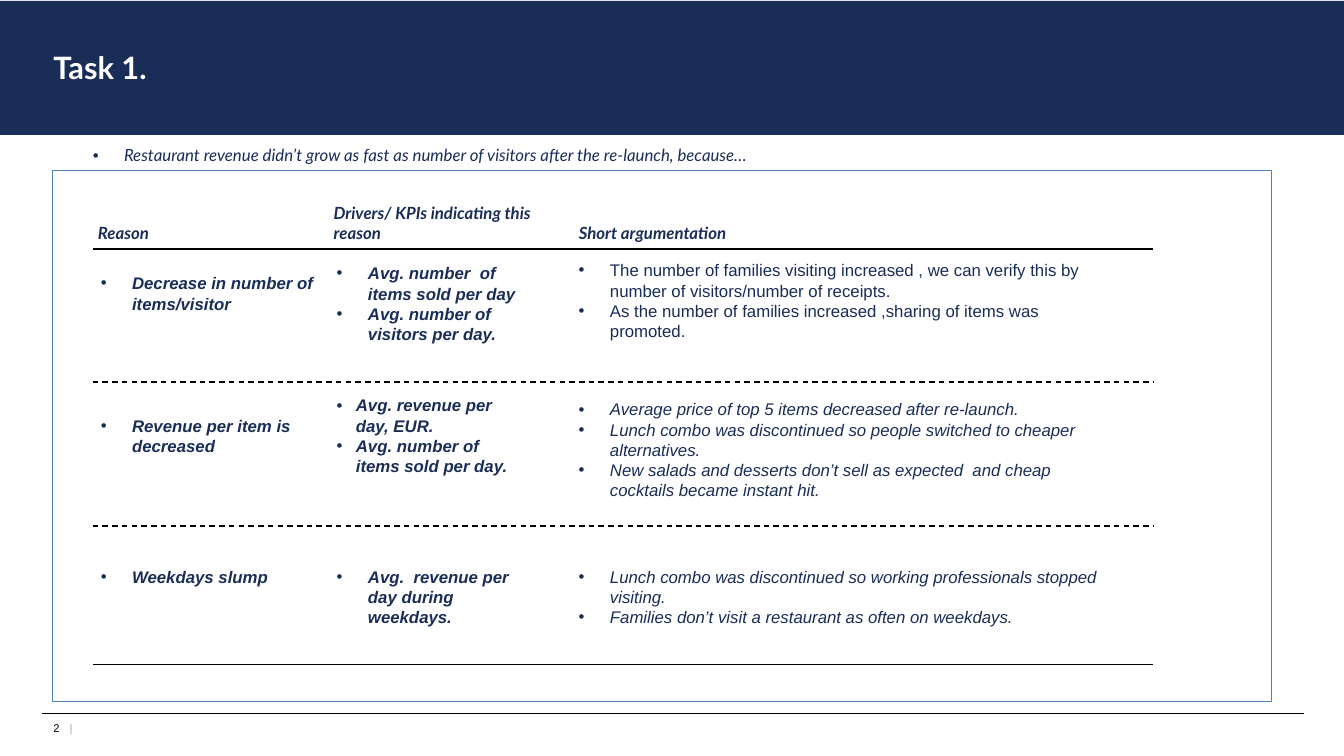
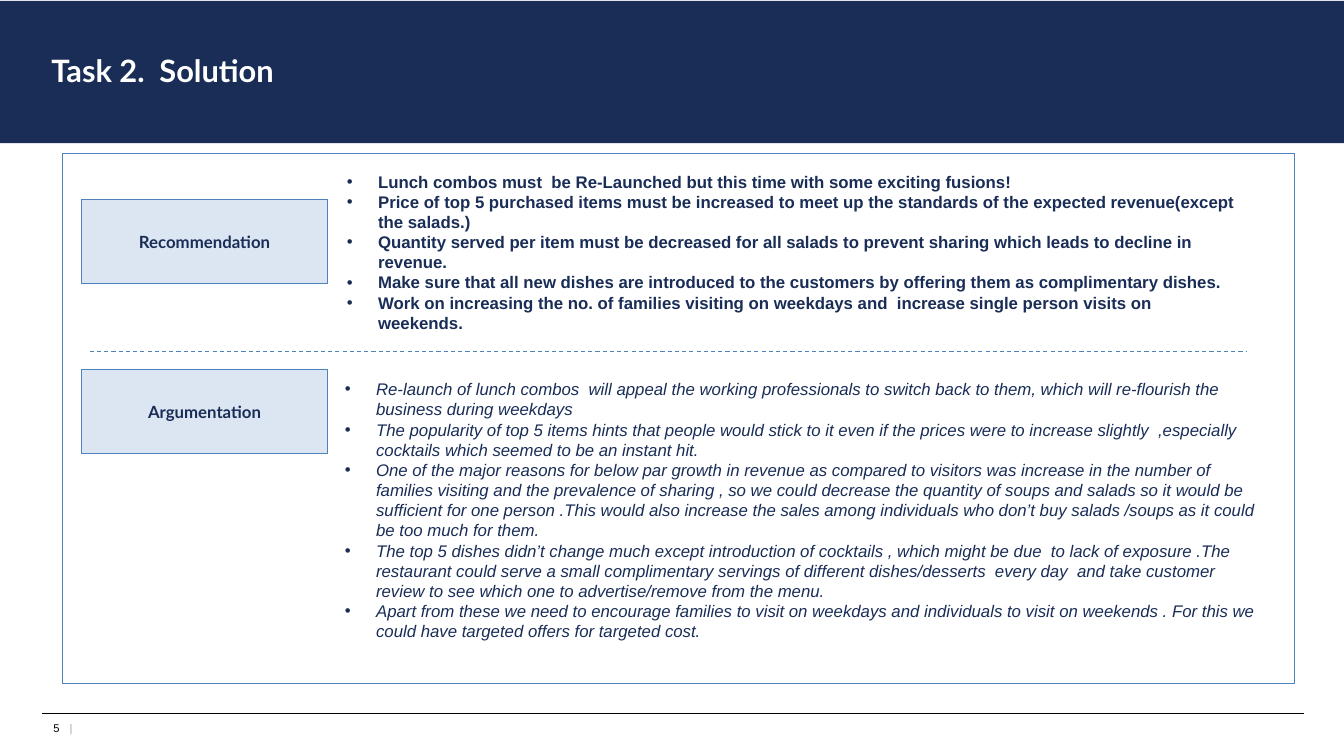
import pptx
import pptx.dml.color
import pptx.enum.dml
import pptx.enum.shapes
import pptx.enum.text
import pptx.oxml
import pptx.oxml.ns
import pptx.util
from lxml import etree

Inches = pptx.util.Inches
Pt = pptx.util.Pt
RGB = pptx.dml.color.RGBColor.from_string
SHAPE = pptx.enum.shapes.MSO_SHAPE
ALIGN = pptx.enum.text.PP_ALIGN
ANCHOR = pptx.enum.text.MSO_ANCHOR
qn = pptx.oxml.ns.qn

COLORS = {
    "navy": "192D57",
    "blue": "4F81BD",
    "pale": "DCE6F2",
    "gray": "A6A6A6",
    "black": "000000",
    "white": "FFFFFF",
}


def write_text(box, paragraphs, at=None, size=12, font="Arial", color="navy", bold=False,
               italic=False, indent=0, align=ALIGN.LEFT, anchor=ANCHOR.TOP, margin=0):
    """Fill a shape with paragraphs; an indent above zero gives them bullets."""
    if at:
        box.left, box.top, box.width, box.height = map(Inches, at)
    frame = box.text_frame
    frame.word_wrap = True
    frame.auto_size = pptx.enum.text.MSO_AUTO_SIZE.NONE
    frame.vertical_anchor = anchor
    frame.margin_left = frame.margin_right = Inches(margin)
    frame.margin_top = frame.margin_bottom = Inches(margin)
    for index, text in enumerate(paragraphs):
        para = frame.add_paragraph() if index else frame.paragraphs[0]
        para.alignment = align
        para.space_before = Pt(0)
        span = para.add_run()
        span.text = text
        span.font.size = Pt(size)
        span.font.name = font
        span.font.bold = bold
        span.font.italic = italic
        span.font.color.rgb = RGB(COLORS[color])
        if indent:
            properties = para._p.get_or_add_pPr()
            properties.set("marL", str(Inches(indent)))
            properties.set("indent", str(-Inches(indent)))
            etree.SubElement(properties, qn("a:buFont")).set("typeface", "Arial")
            etree.SubElement(properties, qn("a:buChar")).set("char", "•")


def add_rule(page, left, right, y, color="black", width=1, dashed=False):
    """Draw a horizontal line without a shadow."""
    rule = page.shapes.add_connector(pptx.enum.shapes.MSO_CONNECTOR.STRAIGHT,
                                     Inches(left), Inches(y), Inches(right), Inches(y))
    rule.line.color.rgb = RGB(COLORS[color])
    rule.line.width = Pt(width)
    if dashed:
        rule.line.dash_style = pptx.enum.dml.MSO_LINE.DASH
    etree.SubElement(rule.element.spPr, qn("a:effectLst"))


deck = pptx.Presentation()
deck.slide_width, deck.slide_height = Inches(13.33), Inches(7.5)

# Title, band, panel and footer of every page
frames = [
    # layout, number, title, title place, band height, panel place
    (1, "2", "Task 1.", (0.43, 0.5, 12.51, 0.33), 1.33, (0.52, 1.69, 12.09, 5.27)),
    (3, "5", "Task 2.  Solution", (0.41, 0.53, 12.51, 0.33), 1.41, (0.62, 1.52, 12.22, 5.26)),
]
for layout, number, title, title_at, band_height, panel_at in frames:
    page = deck.slides.add_slide(deck.slide_layouts[layout])
    write_text(page.shapes.title, [title], title_at, size=22, font="Lato", color="white",
               bold=True, anchor=ANCHOR.MIDDLE, margin=0.1)
    for place, fill, outline in [((0, 0.01, 13.33, band_height), "navy", None),
                                 (panel_at, "white", "blue")]:
        box = page.shapes.add_shape(SHAPE.RECTANGLE, *map(Inches, place))
        box.shadow.inherit = False
        box.fill.solid()
        box.fill.fore_color.rgb = RGB(COLORS[fill])
        if outline:
            box.line.color.rgb = RGB(COLORS[outline])
            box.line.width = Pt(0.75)
        else:
            box.line.fill.background()
        page.shapes.title.element.addprevious(box.element)  # behind the placeholders
    add_rule(page, 0.42, 12.93, 7.08)
    for text, left, color in [(number, 0.53, "black"), ("|", 0.69, "gray")]:
        write_text(page.shapes.add_textbox(0, 0, 0, 0), [text], (left, 7.16, 0.15, 0.15),
                   size=8, color=color)

reasons_page, solution_page = deck.slides

# Task 1: reasons, drivers and arguments
write_text(reasons_page.placeholders[1],
           ["Restaurant revenue didn’t grow as fast as number of visitors after the re-launch, because…"],
           (0.92, 1.44, 8.89, 0.2), font="Lato", italic=True, indent=0.31)

for text, left, top, height in [
    ("Reason", 0.97, 2.21, 0.2),
    ("Drivers/ KPIs indicating this reason", 3.31, 2.01, 0.4),
    ("Short argumentation", 5.74, 2.21, 0.2),
]:
    write_text(reasons_page.shapes.add_textbox(0, 0, 0, 0), [text], (left, top, 2.11, height),
               font="Lato", bold=True, italic=True)

for y, dashed in [(2.47, False), (3.79, True), (5.22, True), (6.59, False)]:
    add_rule(reasons_page, 0.92, 11.44, y, dashed=dashed)

columns = [(1, 2.11), (3.34, 1.86), (5.74, 5.26)]  # left, width
rows = [
    [  # top, height, bullet indent, italic, paragraphs
        (2.71, 0.4, 0.31, True, ["Decrease in number of items/visitor"]),
        (2.61, 0.81, 0.31, True, ["Avg. number  of items sold per day",
                                  "Avg. number of visitors per day."]),
        (2.58, 0.81, 0.31, False, [
            "The number of families visiting increased , we can verify this by number of visitors/number of receipts.",
            "As the number of families increased ,sharing of items was promoted."]),
    ],
    [
        (4.12, 0.61, 0.31, True, ["Revenue per item is decreased"]),
        (3.92, 0.81, 0.19, True, ["Avg. revenue per day, EUR.",
                                  "Avg. number of items sold per day."]),
        (3.96, 1.21, 0.31, True, [
            "Average price of top 5 items decreased after re-launch.",
            "Lunch combo was discontinued so people switched to cheaper alternatives.",
            "New salads and desserts don’t sell as expected  and cheap cocktails became instant hit."]),
    ],
    [
        (5.62, 0.2, 0.31, True, ["Weekdays slump"]),
        (5.62, 0.61, 0.31, True, ["Avg.  revenue per day during weekdays."]),
        (5.62, 0.61, 0.31, True, [
            "Lunch combo was discontinued so working professionals stopped visiting.",
            "Families don’t visit a restaurant as often on weekdays."]),
    ],
]
for row in rows:
    for column, (top, height, indent, italic, paragraphs) in enumerate(row):
        left, width = columns[column]
        write_text(reasons_page.shapes.add_textbox(0, 0, 0, 0), paragraphs,
                   (left, top, width, height), bold=column < 2, italic=italic, indent=indent)

# Task 2: recommendation and argumentation
add_rule(solution_page, 0.89, 12.37, 3.49, color="blue", width=0.75, dashed=True)

for text, top in [("Recommendation", 1.98), ("Argumentation", 3.67)]:
    label = solution_page.shapes.add_shape(SHAPE.PENTAGON, Inches(0.81), Inches(top),
                                           Inches(2.44), Inches(0.83))
    label.adjustments[0] = 0
    label.shadow.inherit = False
    label.fill.solid()
    label.fill.fore_color.rgb = RGB(COLORS["pale"])
    label.line.color.rgb = RGB(COLORS["blue"])
    label.line.width = Pt(0.75)
    write_text(label, [text], font="Lato", bold=True, align=ALIGN.CENTER,
               anchor=ANCHOR.MIDDLE, margin=0.08)

write_text(solution_page.placeholders[1], [
    "Lunch combos must  be Re-Launched but this time with some exciting fusions!",
    "Price of top 5 purchased items must be increased to meet up the standards of the expected revenue(except the salads.)",
    "Quantity served per item must be decreased for all salads to prevent sharing which leads to decline in revenue.",
    "Make sure that all new dishes are introduced to the customers by offering them as complimentary dishes.",
    "Work on increasing the no. of families visiting on weekdays and  increase single person visits on weekends.",
], (3.44, 1.7, 8.85, 1.65), bold=True, indent=0.31)

write_text(solution_page.placeholders[2], [
    "Re-launch of lunch combos  will appeal the working professionals to switch back to them, which will re-flourish the business during weekdays",
    "The popularity of top 5 items hints that people would stick to it even if the prices were to increase slightly  ,especially cocktails which seemed to be an instant hit.",
    "One of the major reasons for below par growth in revenue as compared to visitors was increase in the number of families visiting and the prevalence of sharing , so we could decrease the quantity of soups and salads so it would be  sufficient for one person .This would also increase the sales among individuals who don’t buy salads /soups as it could be too much for them.",
    "The top 5 dishes didn’t change much except introduction of cocktails , which might be due  to lack of exposure .The restaurant could serve a small complimentary servings of different dishes/desserts  every day  and take customer review to see which one to advertise/remove from the menu.",
    "Apart from these we need to encourage families to visit on weekdays and individuals to visit on weekends . For this we could have targeted offers for targeted cost.",
], (3.42, 3.76, 9.11, 2.63), italic=True, indent=0.31)

deck.save("out.pptx")
